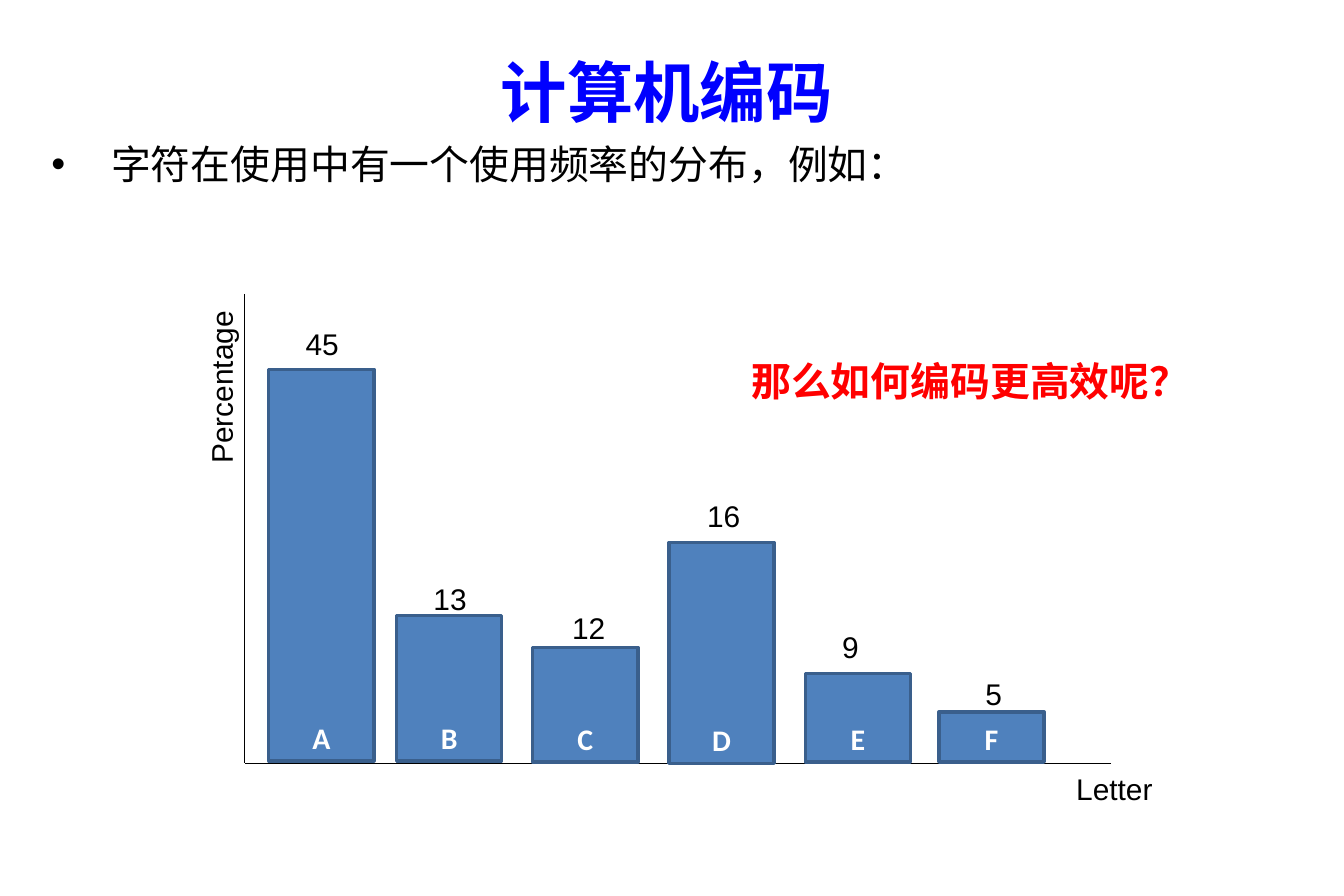
from dataclasses import dataclass

from lxml.etree import SubElement
from pptx import Presentation
from pptx.dml.color import RGBColor
from pptx.enum.shapes import MSO_CONNECTOR, MSO_SHAPE
from pptx.enum.text import MSO_ANCHOR, MSO_AUTO_SIZE, PP_ALIGN
from pptx.oxml.ns import qn
from pptx.util import Inches, Pt


@dataclass(frozen=True)
class Style:
    font: str
    size: int
    color: str
    bold: bool = False


@dataclass(frozen=True)
class Theme:
    title: Style = Style("Noto Sans CJK SC", 40, "0000FF", True)
    body: Style = Style("Times New Roman", 24, "000000")
    question: Style = Style("Times New Roman", 24, "FF0000", True)
    label: Style = Style("Arial", 18, "000000")
    letter: Style = Style("Calibri", 18, "FFFFFF", True)
    east_asian_font: str = "Noto Sans CJK SC"
    bar_fill: str = "4F81BD"
    bar_line: str = "3A5F8C"
    bar_line_width: float = 2
    axis: str = "000000"
    axis_width: float = 0.75


THEME = Theme()
AXIS_LEFT, AXIS_TOP, AXIS_RIGHT, AXIS_BOTTOM = 2.05, 2.46, 9.3, 6.39
BAR_WIDTH = 0.88
# letter, percentage, bar left, bar top, bar bottom, value left, value top
BARS = [
    ("A", 45, 2.25, 3.09, 6.37, 2.46, 2.68),
    ("B", 13, 3.32, 5.15, 6.37, 3.53, 4.81),
    ("C", 12, 4.46, 5.42, 6.38, 4.69, 5.05),
    ("D", 16, 5.6, 4.54, 6.39, 5.82, 4.12),
    ("E", 9, 6.74, 5.64, 6.38, 6.95, 5.21),
    ("F", 5, 7.86, 5.96, 6.38, 8.15, 5.61),
]


def write(shape, text, style, alignment=PP_ALIGN.LEFT, anchor=MSO_ANCHOR.TOP):
    frame = shape.text_frame
    frame.word_wrap = True
    frame.auto_size = MSO_AUTO_SIZE.NONE
    frame.vertical_anchor = anchor
    paragraph = frame.paragraphs[0]
    paragraph.alignment = alignment
    paragraph.space_before = Pt(0)
    run = paragraph.add_run()
    run.text = text
    run.font.name = style.font
    run.font.size = Pt(style.size)
    run.font.bold = style.bold
    run.font.color.rgb = RGBColor.from_string(style.color)
    east_asian = SubElement(run.font._element, qn("a:ea"))
    east_asian.set("typeface", THEME.east_asian_font)
    return paragraph


def place(shape, left, top, width, height):
    shape.left, shape.top = Inches(left), Inches(top)
    shape.width, shape.height = Inches(width), Inches(height)


def add_bullet(paragraph, indent):
    properties = paragraph._p.get_or_add_pPr()
    properties.set("marL", str(Inches(indent)))
    properties.set("indent", str(-Inches(indent)))
    SubElement(properties, qn("a:buFont")).set("typeface", "Arial")
    SubElement(properties, qn("a:buChar")).set("char", "•")


def add_label(slide, text, left, top, width, height=0.4, style=THEME.label):
    label = slide.shapes.add_textbox(
        Inches(left), Inches(top), Inches(width), Inches(height))
    write(label, text, style)
    return label


def add_axis(slide, start, end):
    axis = slide.shapes.add_connector(
        MSO_CONNECTOR.STRAIGHT, *map(Inches, start + end))
    axis.line.color.rgb = RGBColor.from_string(THEME.axis)
    axis.line.width = Pt(THEME.axis_width)
    SubElement(axis._element.spPr, qn("a:effectLst"))


def add_bar(slide, letter, left, top, bottom):
    bar = slide.shapes.add_shape(
        MSO_SHAPE.RECTANGLE, Inches(left), Inches(top),
        Inches(BAR_WIDTH), Inches(bottom - top))
    bar.shadow.inherit = False
    bar.fill.solid()
    bar.fill.fore_color.rgb = RGBColor.from_string(THEME.bar_fill)
    bar.line.color.rgb = RGBColor.from_string(THEME.bar_line)
    bar.line.width = Pt(THEME.bar_line_width)
    write(bar, letter, THEME.letter, PP_ALIGN.CENTER, MSO_ANCHOR.BOTTOM)


def add_frequency_bars(slide):
    origin = (AXIS_LEFT, AXIS_BOTTOM)
    add_axis(slide, (AXIS_LEFT, AXIS_TOP), origin)
    add_axis(slide, (AXIS_RIGHT, AXIS_BOTTOM), origin)
    for letter, percentage, left, top, bottom, value_left, value_top in BARS:
        add_bar(slide, letter, left, top, bottom)
        add_label(slide, str(percentage), value_left, value_top, 0.76)
    add_label(slide, "Percentage", 0.96, 2.89, 1.78).rotation = 270
    add_label(slide, "Letter", 8.91, 6.4, 1.09)


def main():
    presentation = Presentation()
    presentation.slide_width = Inches(11.25)
    presentation.slide_height = Inches(7.5)
    slide = presentation.slides.add_slide(presentation.slide_layouts[1])

    title, body = slide.placeholders
    place(title, 0.52, 0.14, 10.12, 1.25)
    write(title, "计算机编码", THEME.title, PP_ALIGN.CENTER, MSO_ANCHOR.MIDDLE)
    place(body, 0.33, 1.12, 9.09, 1.25)
    sentence = write(body, "字符在使用中有一个使用频率的分布，例如：", THEME.body)
    add_bullet(sentence, 0.5)

    add_frequency_bars(slide)
    add_label(slide, "那么如何编码更高效呢？", 6.19, 2.94, 3.61, 0.5, THEME.question)
    presentation.save("out.pptx")


if __name__ == "__main__":
    main()
